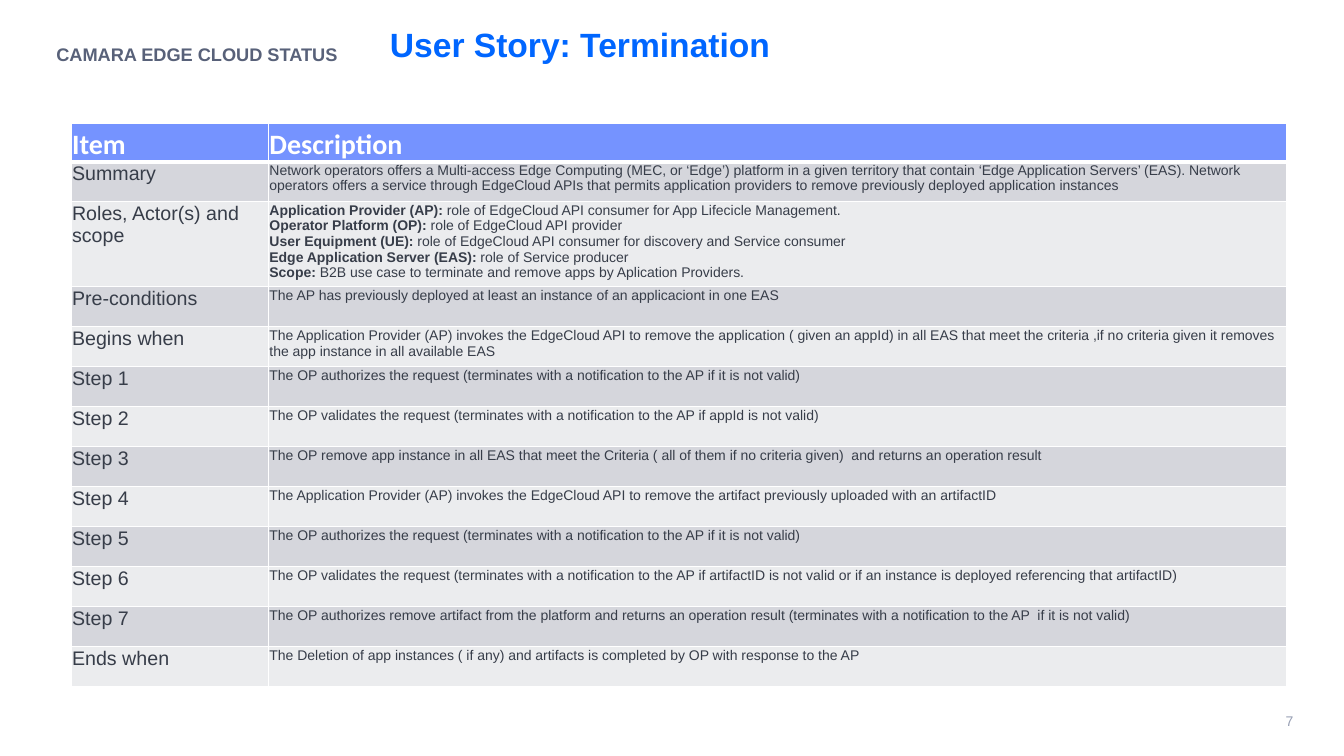
import pptx
import pptx.dml.color
import pptx.enum.text
import pptx.oxml
import pptx.oxml.ns
import pptx.util

Pt = pptx.util.Pt
ALIGN = pptx.enum.text.PP_ALIGN
ANCHOR = pptx.enum.text.MSO_ANCHOR

AUTHORIZES = "The OP authorizes the request (terminates with a notification to the AP if it is not valid)"

# Each description is a list of paragraphs: (bold lead, plain text)
STORY = [
    ("Summary", [("", "Network operators offers a Multi-access Edge Computing (MEC, or ‘Edge’) platform in a "
                      "given territory that contain ‘Edge Application Servers’ (EAS). Network operators offers a "
                      "service through EdgeCloud APIs that permits application providers to remove previously "
                      "deployed application instances")]),
    ("Roles, Actor(s) and scope", [
        ("Application Provider (AP): ", "role of EdgeCloud API consumer for App Lifecicle Management."),
        ("Operator Platform (OP): ", "role of EdgeCloud API provider"),
        ("User Equipment (UE): ", "role of EdgeCloud API consumer for discovery and Service consumer"),
        ("Edge Application Server (EAS): ", "role of Service producer"),
        ("Scope: ", "B2B use case to terminate and remove apps by Aplication Providers."),
    ]),
    ("Pre-conditions", [("", "The AP has previously deployed at least an instance of an applicaciont in one EAS")]),
    ("Begins when", [("", "The Application Provider (AP) invokes the EdgeCloud API to remove the application "
                          "( given an appId) in all EAS that meet the criteria ,if no criteria given it removes "
                          "the app instance in all available EAS")]),
    ("Step 1", [("", AUTHORIZES)]),
    ("Step 2", [("", "The OP validates the request (terminates with a notification to the AP if appId is not "
                     "valid)")]),
    ("Step 3", [("", "The OP remove app instance in all EAS that meet the Criteria ( all of them if no criteria "
                     "given)  and returns an operation result")]),
    ("Step 4", [("", "The Application Provider (AP) invokes the EdgeCloud API to remove the artifact previously "
                     "uploaded with an artifactID")]),
    ("Step 5", [("", AUTHORIZES)]),
    ("Step 6", [("", "The OP validates the request (terminates with a notification to the AP if artifactID is "
                     "not valid or if an instance is deployed referencing that artifactID)")]),
    ("Step 7", [("", "The OP authorizes remove artifact from the platform and returns an operation result "
                     "(terminates with a notification to the AP  if it is not valid)")]),
    ("Ends when", [("", "The Deletion of app instances ( if any) and artifacts is completed by OP with response "
                        "to the AP")]),
]


def color(value):
    return pptx.dml.color.RGBColor.from_string(value)


def apply(target, values):
    for name, value in values.items():
        setattr(target, name, value)


class StorySlide:
    header_fill = "7593FF"
    band_fills = ("D5D6DC", "EBECEE")
    border = "FFFFFF"
    body_color = "373D49"

    def __init__(self, slide):
        self.slide = slide

    def run(self, paragraph, text, size, hue, bold=False, font="Arial"):
        run = paragraph.add_run()
        run.text = text
        apply(run.font, {"name": font, "size": Pt(size), "bold": bold})
        run.font.color.rgb = color(hue)

    def text(self, box, text, size, hue, bold=False, frame_format=None, paragraph_format=None):
        shape = self.slide.shapes.add_textbox(*map(Pt, box))
        apply(shape.text_frame, {"word_wrap": True, **(frame_format or {})})
        paragraph = shape.text_frame.paragraphs[0]
        apply(paragraph, paragraph_format or {})
        self.run(paragraph, text, size, hue, bold)

    def borders(self, cell, bottom):
        properties = cell._tc.get_or_add_tcPr()
        widths = {"lnL": 1, "lnR": 1, "lnT": 1, "lnB": bottom}
        for index, (tag, width) in enumerate(widths.items()):
            properties.insert(index, pptx.oxml.parse_xml(
                f'<a:{tag} {pptx.oxml.ns.nsdecls("a")} w="{Pt(width)}"><a:solidFill>'
                f'<a:srgbClr val="{self.border}"/></a:solidFill></a:{tag}>'))

    def cell(self, cell, paragraphs, fill, size, hue, bold=False, font="Arial",
             anchor=ANCHOR.TOP, bottom=1):
        apply(cell, {"margin_left": Pt(0.7), "margin_right": Pt(0.7), "margin_top": Pt(0.7),
                     "margin_bottom": 0, "vertical_anchor": anchor})
        cell.fill.solid()
        cell.fill.fore_color.rgb = color(fill)
        self.borders(cell, bottom)
        for index, (lead, text) in enumerate(paragraphs):
            frame = cell.text_frame
            paragraph = frame.add_paragraph() if index else frame.paragraphs[0]
            if lead:
                self.run(paragraph, lead, size, hue, True, font)
            self.run(paragraph, text, size, hue, bold, font)

    def table(self, left, top, widths, row_height, tall_rows, headings, rows):
        heights = [tall_rows.get(index, row_height) for index in range(len(rows) + 1)]
        table = self.slide.shapes.add_table(
            len(heights), len(widths), Pt(left), Pt(top), Pt(sum(widths)), Pt(sum(heights))).table
        for column, width in zip(table.columns, widths):
            column.width = Pt(width)
        for row, height in zip(table.rows, heights):
            row.height = Pt(height)
        for index, heading in enumerate(headings):
            self.cell(table.cell(0, index), [("", heading)], self.header_fill, 20, "FFFFFF",
                      True, "Calibri", ANCHOR.BOTTOM, 3)
        for index, (item, description) in enumerate(rows, 1):
            fill = self.band_fills[(index - 1) % 2]
            self.cell(table.cell(index, 0), [("", item)], fill, 14, self.body_color)
            self.cell(table.cell(index, 1), description, fill, 10, self.body_color)


def main():
    presentation = pptx.Presentation()
    apply(presentation, {"slide_width": Pt(960), "slide_height": Pt(540)})
    page = StorySlide(presentation.slides.add_slide(presentation.slide_layouts[6]))

    # Page number, title and section label
    page.text((715, 500.4, 216, 28.8), "7", 10, "969EB3",
              frame_format={"vertical_anchor": ANCHOR.MIDDLE}, paragraph_format={"alignment": ALIGN.RIGHT})
    page.text((271.4, 16.6, 886.3, 63.4), "User Story: Termination", 24, "0066FF", True,
              paragraph_format={"line_spacing": 0.9})
    page.text((33.1, 28.8, 886.3, 15.8), "CAMARA EDGE CLOUD STATUS", 13, "586179", True,
              paragraph_format={"line_spacing": 0.9})

    # User story table
    page.table(50.8, 88, (141, 727.5), 28.6, {0: 27.5, 2: 56.6}, ("Item", "Description"), STORY)

    presentation.save("out.pptx")


if __name__ == "__main__":
    main()
